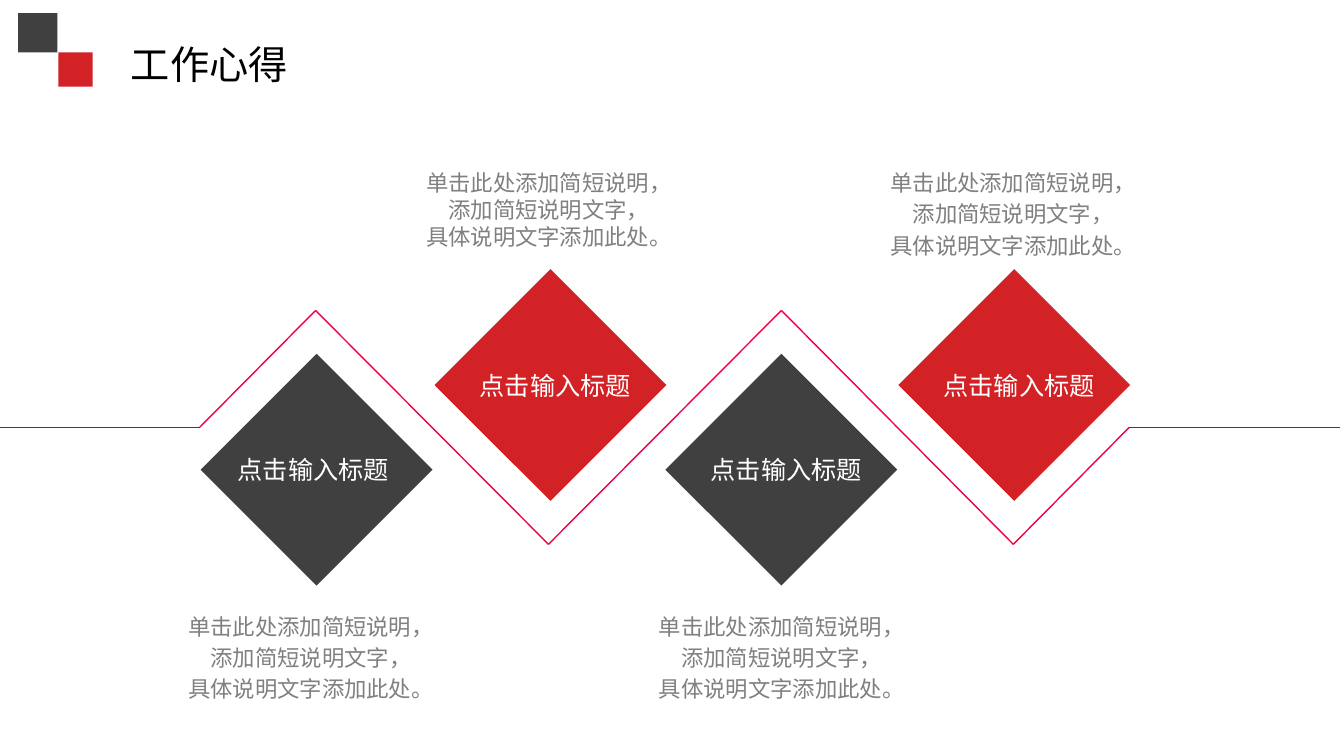
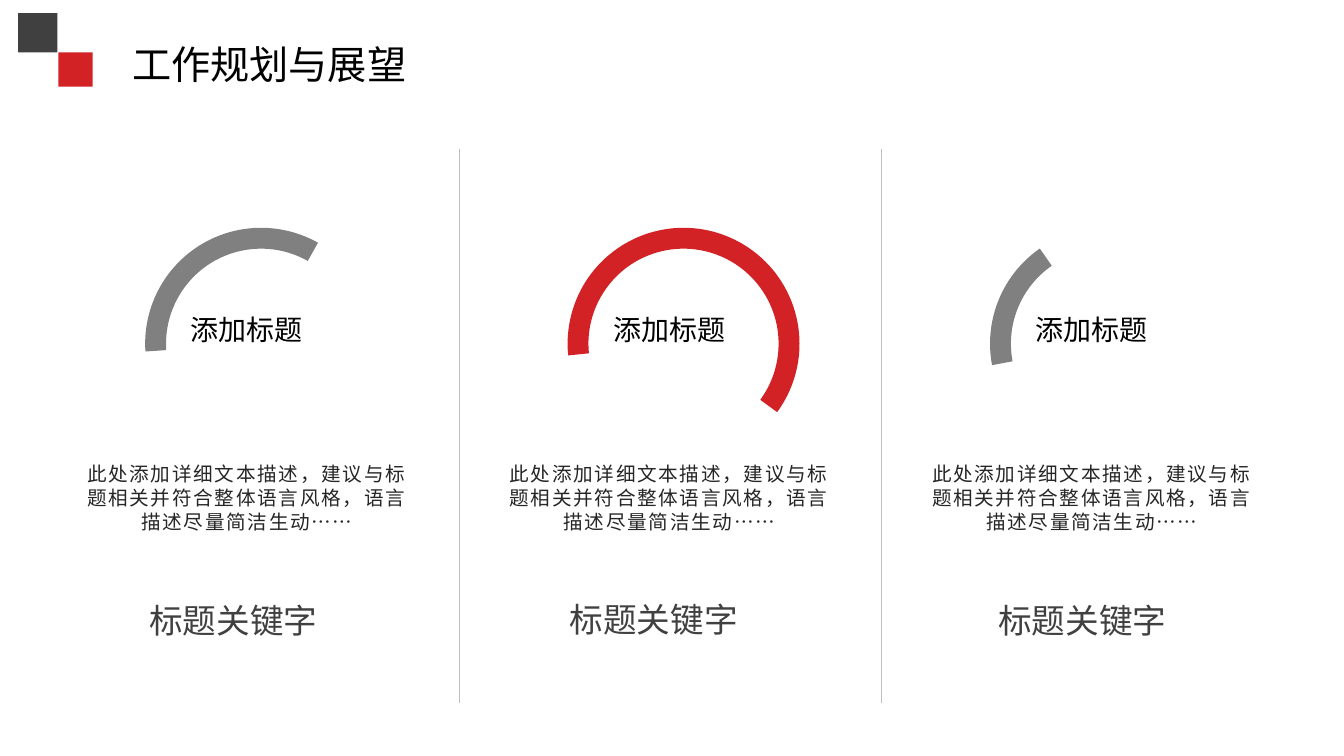
import pptx
import pptx.util
import pptx.dml.color
import pptx.enum.shapes
import pptx.enum.text
import pptx.oxml.ns
import lxml.etree

Inches = pptx.util.Inches
Pt = pptx.util.Pt
RGB = pptx.dml.color.RGBColor.from_string
Shape = pptx.enum.shapes.MSO_SHAPE
Align = pptx.enum.text.PP_ALIGN
Anchor = pptx.enum.text.MSO_ANCHOR

FONT = "Arial"
COLORS = {
    "dark": "404040", "red": "D22226", "pink": "EB0343", "gray": "808080",
    "rule": "BFBFBF", "body": "262626", "black": "000000", "white": "FFFFFF",
}


def draw(slide, kind, at, fill=None, lines=(), size=18, color="black",
         align=Align.CENTER, anchor=Anchor.TOP, gap=0, inset=None,
         pitch=None, track=None):
    """Add a preset shape, or a text box when kind is None, with its text."""
    place = [Inches(n) for n in at]
    if kind is None:
        shape = slide.shapes.add_textbox(*place)
    else:
        shape = slide.shapes.add_shape(kind, *place)
        shape.shadow.inherit = False
        shape.fill.solid()
        shape.fill.fore_color.rgb = RGB(COLORS[fill])
        shape.line.fill.background()
    frame = shape.text_frame
    frame.word_wrap = True
    frame.vertical_anchor = anchor
    if inset is not None:
        frame.margin_left = frame.margin_right = Inches(inset)
        frame.margin_top = frame.margin_bottom = Inches(inset)
    for i, line in enumerate(lines):
        para = frame.add_paragraph() if i else frame.paragraphs[0]
        para.alignment = align
        if i and gap:
            para.space_before = Pt(gap)
        if pitch:
            para.line_spacing = Pt(pitch)
        run = para.add_run()
        run.text = line
        run.font.name = FONT
        run.font.size = Pt(size)
        run.font.color.rgb = RGB(COLORS[color])
        if track:
            run.font._element.set("spc", str(round(track * 100)))
    return shape


def link(slide, start, end, color, width):
    line = slide.shapes.add_connector(
        pptx.enum.shapes.MSO_CONNECTOR.STRAIGHT,
        *[Inches(n) for n in (*start, *end)])
    line.line.color.rgb = RGB(COLORS[color])
    line.line.width = Pt(width)
    lxml.etree.SubElement(line._element.spPr, pptx.oxml.ns.qn("a:effectLst"))


deck = pptx.Presentation()
deck.slide_width = Inches(13.33)
deck.slide_height = Inches(7.5)

# Parts that every slide shares
slides = []
for title, width in (("工作心得", 1.99), ("工作规划与展望", 3.18)):
    slide = deck.slides.add_slide(deck.slide_layouts[6])
    draw(slide, Shape.RECTANGLE, (0.18, 0.13, 0.39, 0.39), "dark")
    draw(slide, Shape.RECTANGLE, (0.58, 0.52, 0.34, 0.34), "red")
    draw(slide, None, (1.08, 0.36, width, 0.55), lines=[title], size=28,
         anchor=Anchor.MIDDLE)
    slides.append(slide)
first, second = slides

# Slide 1: zigzag line with four diamonds
points = [(0, 4.24), (1.98, 4.24), (3.13, 3.08), (5.44, 5.4),
          (7.75, 3.08), (10.05, 5.4), (11.2, 4.24), (13.29, 4.24)]
for start, end in zip(points, points[1:]):
    level = start[1] == end[1]
    link(first, start, end, "dark" if level else "pink", 1)

NOTE = ["单击此处添加简短说明，", "添加简短说明文字，", "具体说明文字添加此处。"]
SIDE = 2.3
diamonds = [  # left, label left, note left, note width, note gap
    (1.99, 2.26, 1.41, 3.35, 3.2),
    (4.31, 4.66, 4.03, 2.83, 0),
    (6.6, 6.95, 6.33, 2.85, 3.2),
    (8.91, 9.26, 8.63, 2.84, 3.2),
]
for i, (left, label, note, width, gap) in enumerate(diamonds):
    fill, top, below = (("dark", 3.51, 6.03), ("red", 2.67, 1.63))[i % 2]
    draw(first, Shape.DIAMOND, (left, top, SIDE, SIDE), fill)
    draw(first, None, (label, top + 0.95, 1.83, 0.4),
         lines=["点击输入标题"], color="white", align=Align.LEFT)
    draw(first, None, (note, below, width, 1.01), lines=NOTE, size=16,
         color="gray", gap=gap)

# Slide 2: three columns, each with an arc
DETAIL = "此处添加详细文本描述，建议与标题相关并符合整体语言风格，语言描述尽量简洁生动……"
STEP = 4.19
columns = [  # arc fill, arc start and end in degrees, keyword place
    ("gray", 330.61, 93.84, 1.48, 5.95),
    ("red", 233.84, 95.79, 5.65, 5.94),
    ("gray", 34.8, 100.64, 9.9, 5.95),
]
for i, (fill, start, end, left, top) in enumerate(columns):
    shift = i * STEP
    ring = draw(second, Shape.DONUT, (1.3 + shift, 2.12, SIDE, SIDE), "white",
                ["添加标题"], 20, anchor=Anchor.MIDDLE)
    ring.adjustments[0] = 0.09
    arc = draw(second, Shape.BLOCK_ARC, (1.44 + shift, 2.26, SIDE, SIDE), fill)
    # Angles are stored in 60000ths of a degree, adjustments in 100000ths
    for n, value in enumerate((start * 0.6, end * 0.6, 0.09)):
        arc.adjustments[n] = value
    arc.rotation = 90
    arc._element.spPr.xfrm.set("flipH", "1")
    draw(second, None, (0.71 + shift, 4.53, 3.48, 0.94), lines=[DETAIL],
         size=14, color="body", pitch=17, track=1.2)
    draw(second, None, (left, top, 1.88, 0.4), lines=["标题关键字"],
         size=24, color="dark", align=Align.LEFT, inset=0)
    if i:
        edge = 0.36 + shift
        link(second, (edge, 1.48), (edge, 6.97), "rule", 0.25)

deck.save("out.pptx")
